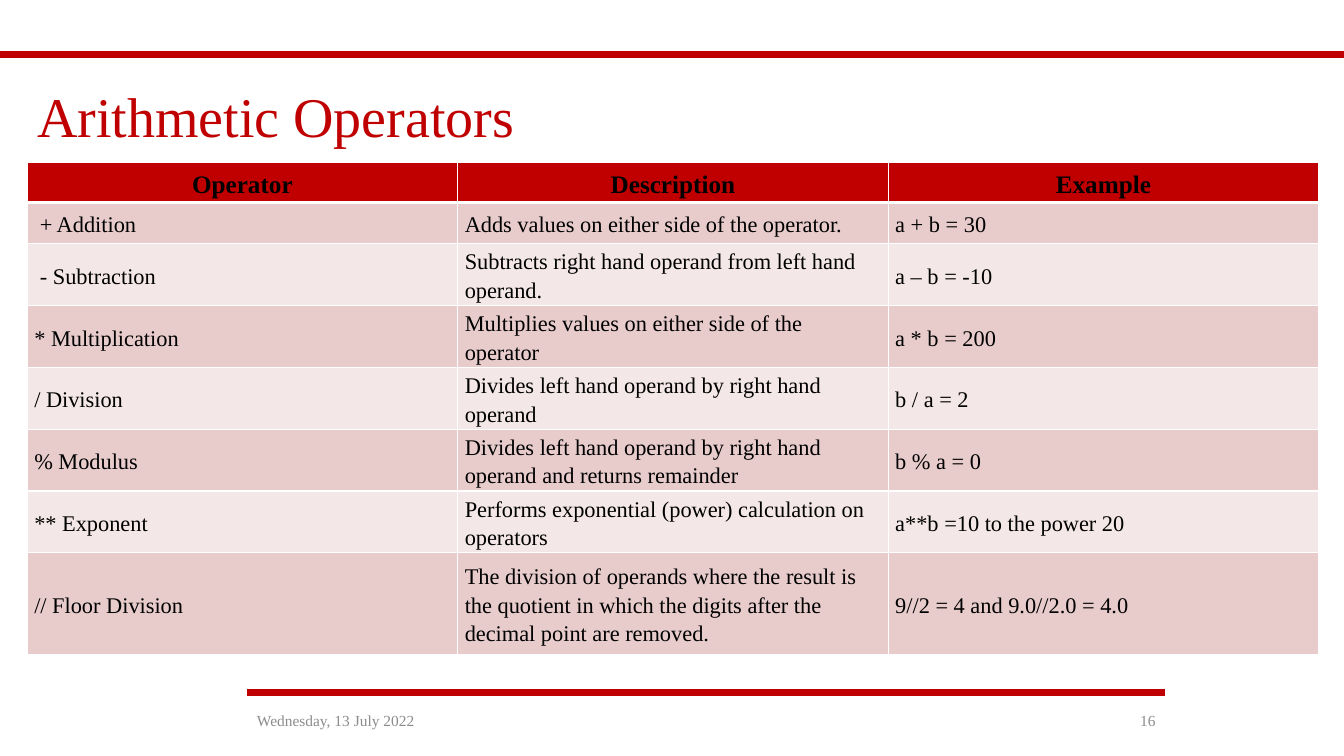
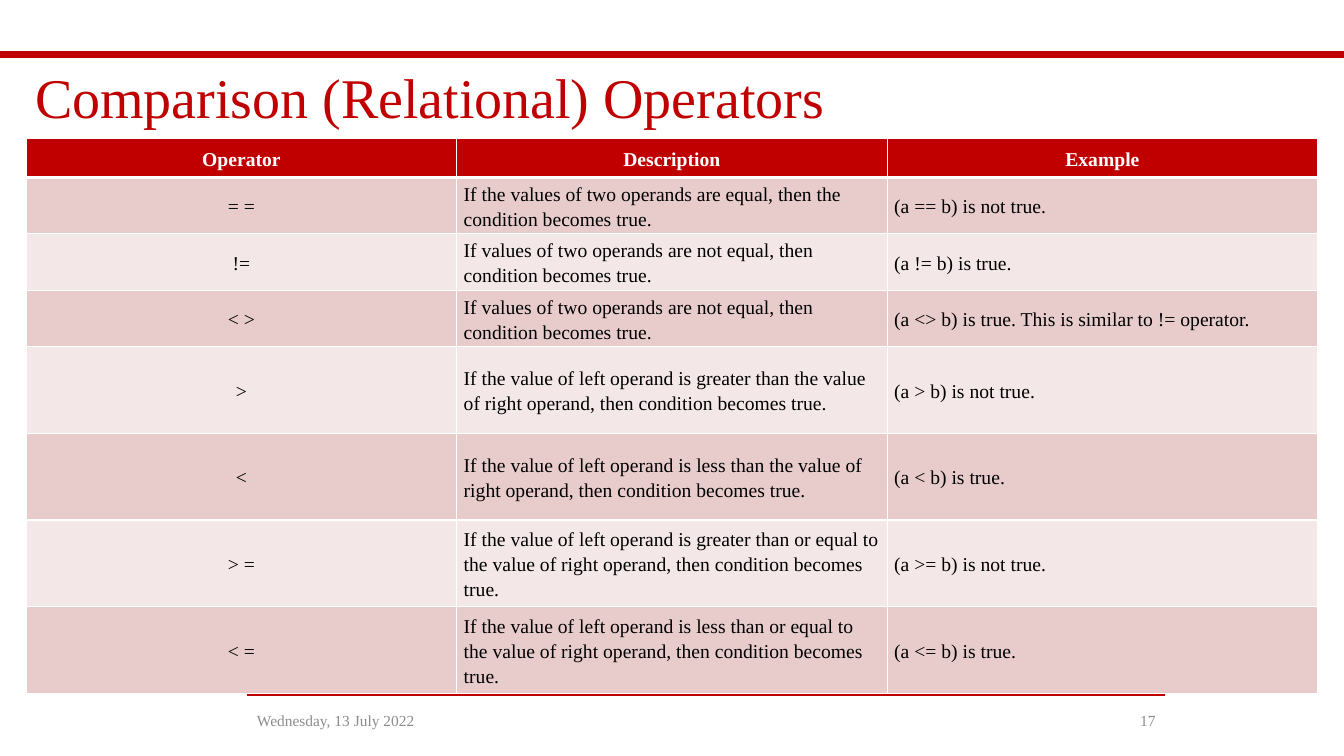
from lxml import etree
from pptx import Presentation
from pptx.dml.color import RGBColor
from pptx.enum.shapes import MSO_CONNECTOR as CONN
from pptx.enum.text import MSO_ANCHOR as ANCHOR, PP_ALIGN as ALIGN
from pptx.oxml import parse_xml
from pptx.oxml.ns import nsdecls, qn
from pptx.util import Inches, Pt


def rgb(value):
    return RGBColor.from_string(value)


class Deck:
    FONT = "Times New Roman"
    RED, WHITE, BLACK, GREY = "C00000", "FFFFFF", "000000", "8C8C8C"
    BANDS = ("E8CCCC", "F4E7E7")
    DATE = "Wednesday, 13 July 2022"

    def __init__(self):
        self.prs = Presentation()
        self.prs.slide_width = Inches(13.33)
        self.prs.slide_height = Inches(7.5)
        self.s = None

    def slide(self, number):
        """Start a slide with its two rules and its footer."""
        self.s = self.prs.slides.add_slide(self.prs.slide_layouts[6])
        self.rule(0, 13.33, 0.54)
        self.rule(2.45, 11.55, 6.87)
        self.text(self.DATE, 2.45, 6.95, 2.25, 0.4, 11, self.GREY)
        self.text(str(number), 10.77, 6.95, 0.79, 0.4, 11, self.GREY, ALIGN.RIGHT)

    def rule(self, left, right, y):
        line = self.s.shapes.add_connector(
            CONN.STRAIGHT, Inches(left), Inches(y), Inches(right), Inches(y))
        line.line.color.rgb = rgb(self.RED)
        line.line.width = Pt(4.5)
        etree.SubElement(line._element.spPr, qn("a:effectLst"))

    def add_run(self, tf, text, size, color, align, spacing, bold=False):
        """Put one styled run in the first paragraph of a text frame."""
        p = tf.paragraphs[0]
        p.alignment = align
        p.line_spacing = spacing
        r = p.add_run()
        r.text = text
        r.font.name = self.FONT
        r.font.size = Pt(size)
        r.font.bold = bold
        r.font.color.rgb = rgb(color)

    def text(self, text, x, y, w, h, size, color, align=ALIGN.LEFT, spacing=1.0):
        sp = self.s.shapes.add_textbox(Inches(x), Inches(y), Inches(w), Inches(h))
        tf = sp.text_frame
        tf.word_wrap = True
        tf.vertical_anchor = ANCHOR.MIDDLE
        self.add_run(tf, text, size, color, align, spacing)

    def title(self, text, x, y):
        self.text(text, x, y, 12.81, 1.28, 40, self.RED, spacing=0.9)

    def borders(self, cell, top, bottom):
        """White cell borders; widths of the top and bottom in points."""
        tcPr = cell._tc.get_or_add_tcPr()
        sides = (("L", 1), ("R", 1), ("T", top), ("B", bottom))
        for i, (side, width) in enumerate(sides):
            tcPr.insert(i, parse_xml(
                f'<a:ln{side} {nsdecls("a")} w="{int(Pt(width))}"><a:solidFill>'
                f'<a:srgbClr val="{self.WHITE}"/></a:solidFill></a:ln{side}>'))

    def table(self, rows, heights, x, y, head_size, head_color, size, first_align):
        rows = [("Operator", "Description", "Example")] + rows
        frame = self.s.shapes.add_table(
            len(rows), 3, Inches(x), Inches(y), Inches(12.81), Inches(sum(heights)))
        table = frame.table
        for column in table.columns:
            column.width = Inches(4.27)
        for i, (row, height) in enumerate(zip(rows, heights)):
            table.rows[i].height = Inches(height)
            head = i == 0
            for j, text in enumerate(row):
                cell = table.cell(i, j)
                cell.margin_left = cell.margin_right = Inches(0.07)
                cell.margin_top = cell.margin_bottom = 0
                cell.vertical_anchor = ANCHOR.MIDDLE
                cell.fill.solid()
                cell.fill.fore_color.rgb = rgb(self.RED if head else self.BANDS[(i - 1) % 2])
                self.borders(cell, 3 if i == 1 else 1, 3 if head else 1)
                if head:
                    self.add_run(cell.text_frame, text, head_size, head_color,
                                 ALIGN.CENTER, 1.15, bold=True)
                else:
                    self.add_run(cell.text_frame, text, size, self.BLACK,
                                 first_align if j == 0 else ALIGN.LEFT, 1.15)


ARITHMETIC = [
    (" + Addition", "Adds values on either side of the operator.", "a + b = 30"),
    (" - Subtraction", "Subtracts right hand operand from left hand operand.", "a – b = -10"),
    ("* Multiplication", "Multiplies values on either side of the operator", "a * b = 200"),
    ("/ Division", "Divides left hand operand by right hand operand", "b / a = 2"),
    ("% Modulus", "Divides left hand operand by right hand operand and returns remainder",
     "b % a = 0"),
    ("** Exponent", "Performs exponential (power) calculation on operators",
     "a**b =10 to the power 20"),
    ("// Floor Division", "The division of operands where the result is the quotient in which "
     "the digits after the decimal point are removed.", "9//2 = 4 and 9.0//2.0 = 4.0"),
]

THEN = ", then condition becomes true."
COMPARISON = [
    ("= =", "If the values of two operands are equal, then the condition becomes true.",
     "(a == b) is not true."),
    ("!=", "If values of two operands are not equal" + THEN, "(a != b) is true."),
    ("< >", "If values of two operands are not equal" + THEN,
     "(a <> b) is true. This is similar to != operator."),
    (">", "If the value of left operand is greater than the value of right operand" + THEN,
     "(a > b) is not true."),
    ("<", "If the value of left operand is less than the value of right operand" + THEN,
     "(a < b) is true."),
    ("> =", "If the value of left operand is greater than or equal to the value of right operand"
     + THEN, "(a >= b) is not true."),
    ("< =", "If the value of left operand is less than or equal to the value of right operand"
     + THEN, "(a <= b) is true."),
]


def main():
    deck = Deck()

    deck.slide(16)
    deck.title("Arithmetic Operators", 0.27, 0.54)
    deck.table(ARITHMETIC, [0.4, 0.41] + [0.61] * 5 + [1.01], 0.27, 1.61,
               18, deck.BLACK, 16, ALIGN.LEFT)

    deck.slide(17)
    deck.title("Comparison (Relational) Operators", 0.25, 0.36)
    deck.table(COMPARISON, [0.39] + [0.56] * 3 + [0.86] * 4, 0.26, 1.37,
               14, deck.WHITE, 14, ALIGN.CENTER)

    deck.prs.save("out.pptx")


if __name__ == "__main__":
    main()
